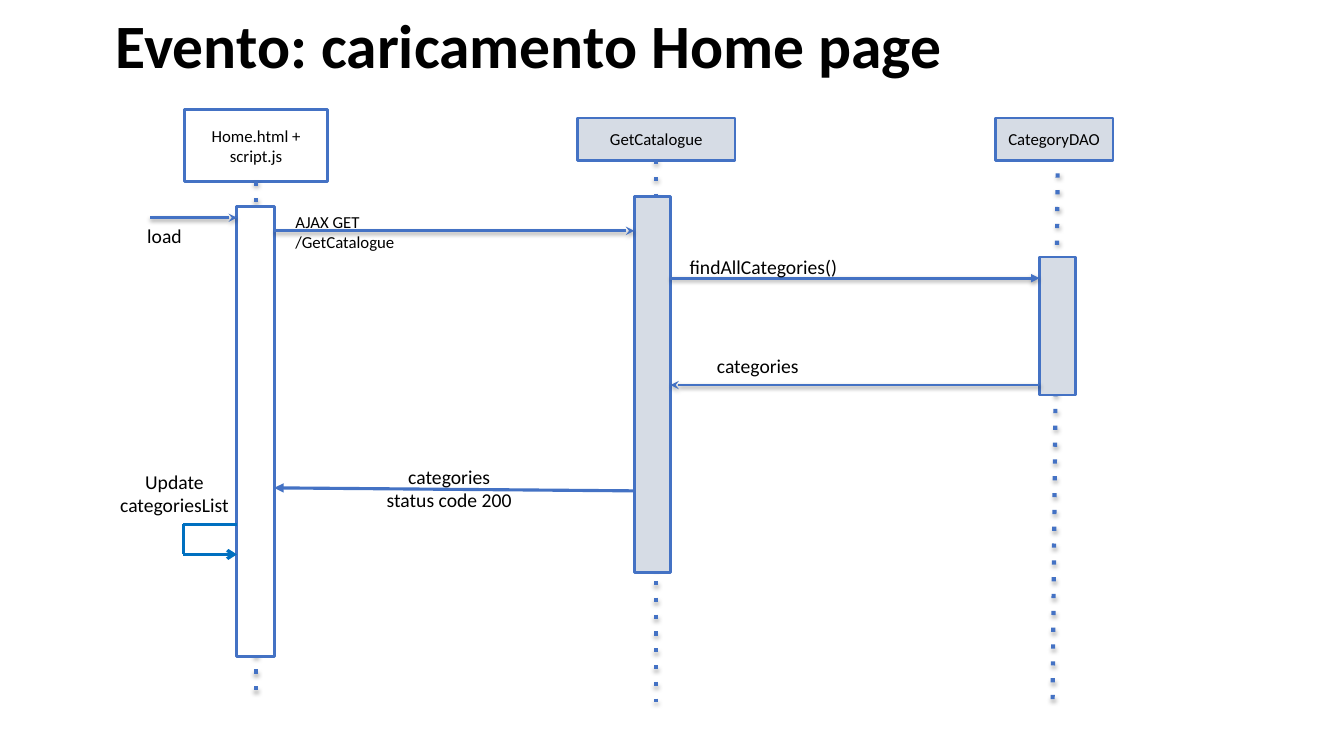
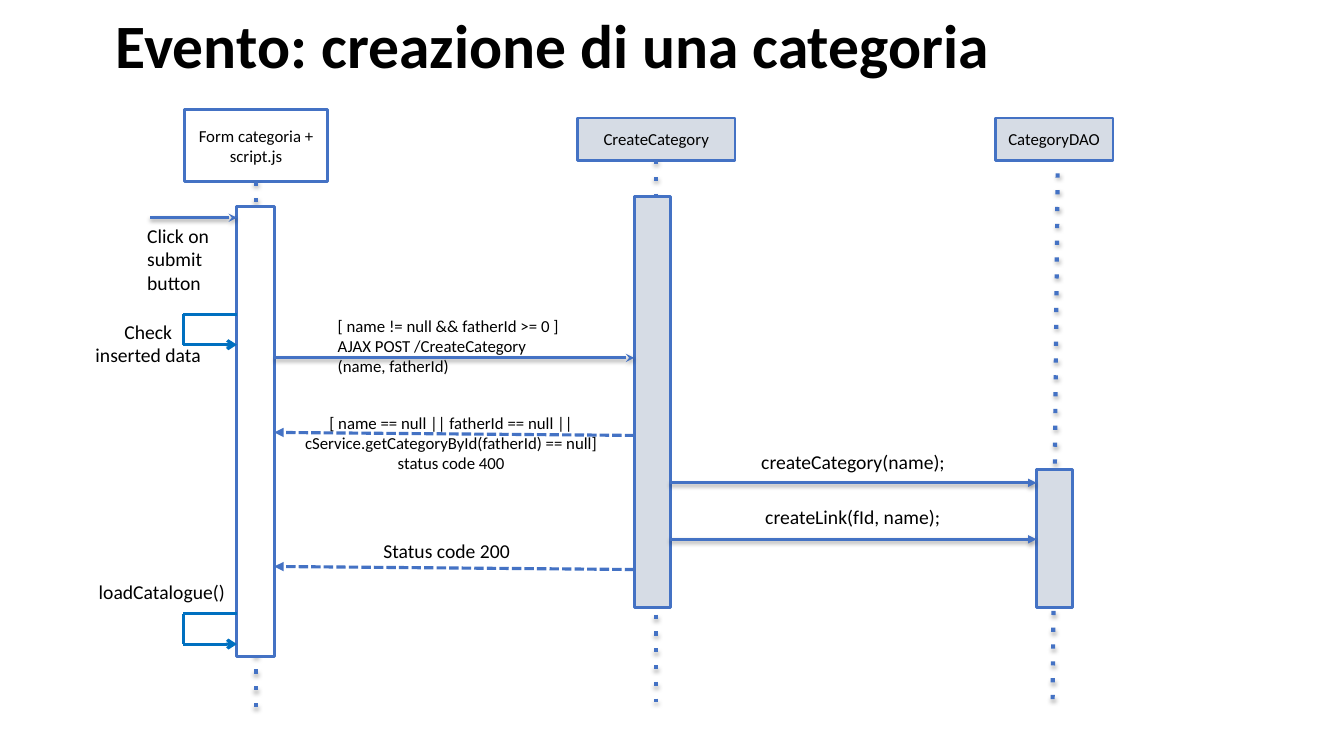
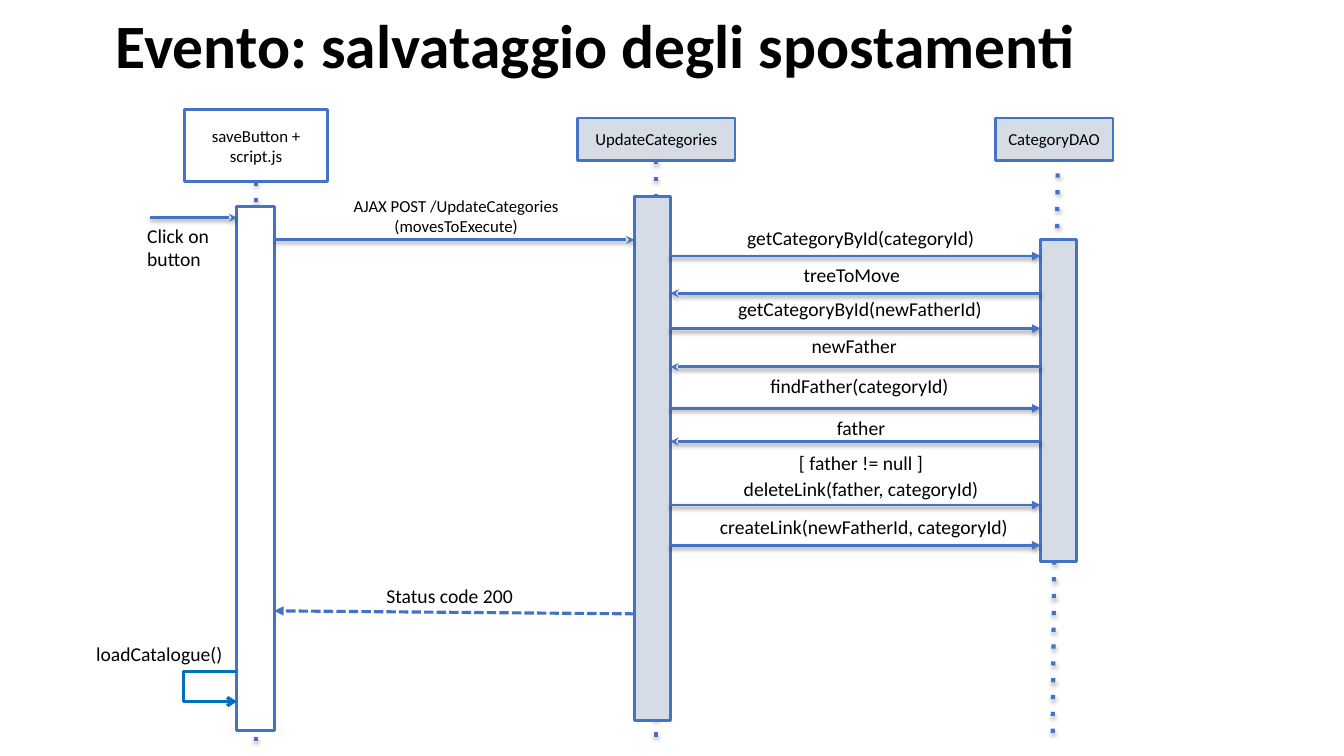
from dataclasses import dataclass
from enum import Enum

from lxml.etree import SubElement
from pptx import Presentation
from pptx.dml.color import RGBColor
from pptx.enum.shapes import MSO_CONNECTOR, MSO_SHAPE
from pptx.enum.text import MSO_ANCHOR, PP_ALIGN
from pptx.oxml.ns import qn
from pptx.util import Inches, Pt


@dataclass(frozen=True)
class Theme:
    font: str = "Calibri"
    text: str = "000000"
    line: str = "4472C4"
    loop: str = "0070C0"
    server: str = "D6DCE5"
    client: str = "FFFFFF"
    title_size: int = 44
    label_size: int = 14
    small_size: int = 12
    outline: float = 2
    lifeline: float = 3
    accent: float = 2.25


@dataclass(frozen=True)
class Box:
    left: float
    top: float
    width: float
    height: float

    @property
    def right(self):
        return self.left + self.width

    @property
    def bottom(self):
        return self.top + self.height

    @property
    def middle(self):
        return self.left + self.width / 2

    def lengths(self):
        return [Inches(n) for n in (self.left, self.top, self.width, self.height)]


@dataclass(frozen=True)
class Label:
    lines: tuple
    box: Box
    size: int = Theme.label_size
    align: PP_ALIGN = PP_ALIGN.CENTER
    after: float = 0


class Kind(Enum):
    REQUEST = "client to servlet"
    QUERY = "servlet to DAO"
    RESULT = "DAO to servlet"
    REPLY = "servlet to client"


@dataclass(frozen=True)
class Message:
    kind: Kind
    y: float
    label: Label
    dash: str = "solid"


@dataclass(frozen=True)
class SelfCall:
    y: float
    label: Label


@dataclass(frozen=True)
class Diagram:
    title: str
    client: str
    servlet: str
    trigger: Label
    client_bar: Box
    servlet_bar: Box
    dao_bar: Box
    lifeline_ends: tuple  # client, servlet, DAO
    messages: tuple
    self_calls: tuple


THEME = Theme()
TITLE = Box(1.03, 0.01, 11.09, 0.95)
CLIENT = Box(1.83, 1.09, 1.42, 0.71)
SERVLET = Box(5.73, 1.17, 1.56, 0.42)
DAO = Box(9.87, 1.17, 1.17, 0.42)
DAO_LIFE = (10.49, 1.72, 10.44)  # top x, top y, bottom x
TRIGGER_FROM, TRIGGER_Y = 1.49, 2.16
LOOP_WIDTH, LOOP_HEIGHT = 0.53, 0.3
REPLY_RISE = 0.03


# Basic parts
def color(value):
    return RGBColor.from_string(value)


def write(shape, lines, size, align, anchor=MSO_ANCHOR.TOP, bold=False,
          after=0, spacing=None):
    frame = shape.text_frame
    frame.word_wrap = True
    frame.vertical_anchor = anchor
    frame.margin_left = frame.margin_right = Inches(0.12)
    frame.margin_top = frame.margin_bottom = Inches(0.06)
    for index, line in enumerate(lines):
        para = frame.add_paragraph() if index else frame.paragraphs[0]
        para.alignment = align
        para.space_after = Pt(after)
        if spacing:
            para.line_spacing = spacing
        span = para.add_run()
        span.text = line
        span.font.name = THEME.font
        span.font.size = Pt(size)
        span.font.bold = bold
        span.font.color.rgb = color(THEME.text)


def add_label(page, label):
    box = page.shapes.add_textbox(*label.box.lengths())
    write(box, label.lines, label.size, label.align, after=label.after)


def add_rect(page, box, fill):
    rect = page.shapes.add_shape(MSO_SHAPE.RECTANGLE, *box.lengths())
    rect.shadow.inherit = False
    rect.fill.solid()
    rect.fill.fore_color.rgb = color(fill)
    rect.line.color.rgb = color(THEME.line)
    rect.line.width = Pt(THEME.outline)
    return rect


def add_line(shapes, start, end, tint=THEME.line, width=THEME.outline,
             dash="solid", head=None, shadow=None):
    """Draw a line; shadow is a pair of opacity percent and distance in points."""
    ends = [Inches(n) for n in (*start, *end)]
    line = shapes.add_connector(MSO_CONNECTOR.STRAIGHT, *ends)
    line.line.color.rgb = color(tint)
    line.line.width = Pt(width)
    properties = line._element.spPr
    stroke = properties.find(qn("a:ln"))
    SubElement(stroke, qn("a:prstDash"), val=dash)
    if head:
        SubElement(stroke, qn("a:tailEnd"), type=head)
    effects = SubElement(properties, qn("a:effectLst"))
    if shadow:
        opacity, distance = shadow
        outer = SubElement(effects, qn("a:outerShdw"), blurRad=str(Pt(3.1)),
                           dist=str(Pt(distance)), dir="5400000", rotWithShape="0")
        black = SubElement(outer, qn("a:srgbClr"), val="000000")
        SubElement(black, qn("a:alpha"), val=str(opacity * 1000))
    return line


# Regions of a sequence diagram
def add_title(page, box, text):
    title = page.shapes.add_textbox(*box.lengths())
    write(title, [text], THEME.title_size, PP_ALIGN.LEFT, MSO_ANCHOR.MIDDLE,
          bold=True, spacing=0.9)


def add_participant(page, box, name, fill, life_end, life=None):
    """Place a name box and its lifeline, which hangs from the box unless life is given."""
    rect = add_rect(page, box, fill)
    write(rect, [name], THEME.small_size, PP_ALIGN.CENTER, MSO_ANCHOR.MIDDLE)
    top_x, top_y, bottom_x = life or (box.middle, box.bottom, box.middle)
    line = add_line(page.shapes, (top_x, top_y), (bottom_x, life_end),
                    width=THEME.lifeline, dash="dot", shadow=(35, 1.8))
    if not life:
        line.begin_connect(rect, 2)


def add_message(page, message, diagram):
    client, servlet, dao = diagram.client_bar, diagram.servlet_bar, diagram.dao_bar
    start, end, head = {
        Kind.REQUEST: (client.right, servlet.left, "stealth"),
        Kind.QUERY: (servlet.right, dao.left, "triangle"),
        Kind.RESULT: (dao.left, servlet.right, "stealth"),
        Kind.REPLY: (servlet.left, client.right, "triangle"),
    }[message.kind]
    is_reply = message.kind is Kind.REPLY
    add_line(page.shapes, (start, message.y),
             (end, message.y - (REPLY_RISE if is_reply else 0)),
             width=THEME.accent if is_reply else THEME.outline,
             dash=message.dash, head=head, shadow=None if is_reply else (38, 1.6))
    add_label(page, message.label)


def add_self_call(page, bar, call):
    loop = page.shapes.add_group_shape()
    right, left = bar.left, bar.left - LOOP_WIDTH
    bottom = call.y + LOOP_HEIGHT
    corners = [(right, call.y), (left, call.y), (left, bottom), (right, bottom)]
    for start, end, head in zip(corners, corners[1:], (None, None, "arrow")):
        add_line(loop.shapes, start, end, THEME.loop, THEME.accent, head=head)
    add_label(page, call.label)


def add_diagram(deck, diagram):
    page = deck.slides.add_slide(deck.slide_layouts[6])
    add_title(page, TITLE, diagram.title)
    client_end, servlet_end, dao_end = diagram.lifeline_ends
    add_participant(page, CLIENT, diagram.client, THEME.client, client_end)
    add_participant(page, SERVLET, diagram.servlet, THEME.server, servlet_end)
    add_participant(page, DAO, "CategoryDAO", THEME.server, dao_end, DAO_LIFE)
    # Activation bars
    add_rect(page, diagram.client_bar, THEME.client)
    add_rect(page, diagram.servlet_bar, THEME.server)
    add_rect(page, diagram.dao_bar, THEME.server)
    # Trigger, messages and self calls
    add_line(page.shapes, (TRIGGER_FROM, TRIGGER_Y),
             (diagram.client_bar.left, TRIGGER_Y), head="stealth", shadow=(38, 1.6))
    add_label(page, diagram.trigger)
    for message in diagram.messages:
        add_message(page, message, diagram)
    for call in diagram.self_calls:
        add_self_call(page, diagram.client_bar, call)


# Content
def client_bar(height):
    return Box(2.35, 2.05, 0.37, height)


def servlet_bar(height):
    return Box(6.29, 1.95, 0.36, height)


def trigger(text, height):
    return Label((text,), Box(1.34, 2.16, 0.9, height), align=PP_ALIGN.LEFT)


def query(y, text, left, top, width, kind=Kind.QUERY):
    label = Label((text,), Box(left, top, width, 0.4), align=PP_ALIGN.LEFT, after=2)
    return Message(kind, y, label)


def success(y, left, top):
    label = Label(("Status code 200",), Box(left, top, 2.06, 0.33))
    return Message(Kind.REPLY, y, label, "sysDash")


def reload(y, left, top, width):
    return SelfCall(y, Label(("loadCatalogue()",), Box(left, top, width, 0.39)))


DIAGRAMS = (
    Diagram(
        "Evento: caricamento Home page", "Home.html + script.js", "GetCatalogue",
        trigger("load", 0.39),
        client_bar(4.46), servlet_bar(3.73), Box(10.31, 2.55, 0.36, 1.37),
        (6.96, 6.96, 6.96),
        (
            Message(Kind.REQUEST, 2.29, Label(
                ("AJAX GET /GetCatalogue",), Box(2.81, 2.04, 1.48, 0.71),
                THEME.small_size, PP_ALIGN.LEFT)),
            query(2.76, "findAllCategories()", 6.72, 2.47, 1.8),
            query(3.82, "categories", 6.99, 3.45, 1.35, Kind.RESULT),
            Message(Kind.REPLY, 4.87, Label(
                ("categories", "status code 200"), Box(3.62, 4.55, 1.67, 0.71))),
        ),
        (SelfCall(5.2, Label(("Update categoriesList",),
                             Box(1.04, 4.6, 1.38, 0.61))),),
    ),
    Diagram(
        "Evento: creazione di una categoria", "Form categoria + script.js",
        "CreateCategory", trigger("Click on submit button", 0.95),
        client_bar(4.46), servlet_bar(4.08), Box(10.28, 4.66, 0.36, 1.37),
        (7.07, 6.96, 6.96),
        (
            Message(Kind.REQUEST, 3.55, Label(
                ("[ name != null && fatherId >= 0 ]", "AJAX POST /CreateCategory",
                 "(name, fatherId)"),
                Box(3.23, 3.07, 2.67, 0.71), THEME.small_size, PP_ALIGN.LEFT)),
            Message(Kind.REPLY, 4.32, Label(
                ("[ name == null || fatherId == null || "
                 "cService.getCategoryById(fatherId) == null]", "status code 400"),
                Box(2.68, 4.03, 3.59, 0.71), THEME.small_size), "sysDash"),
            query(4.79, "createCategory(name);", 7.43, 4.4, 2.28),
            query(5.35, "createLink(fId, name);", 7.47, 4.95, 2.4),
            success(5.65, 3.4, 5.29),
        ),
        (
            SelfCall(3.12, Label(("Check inserted data",),
                                 Box(0.79, 3.11, 1.36, 0.61))),
            reload(6.09, 0.81, 5.69, 1.59),
        ),
    ),
    Diagram(
        "Evento: salvataggio degli spostamenti", "saveButton + script.js",
        "UpdateCategories", trigger("Click on button", 0.59),
        client_bar(5.2), servlet_bar(5.2), Box(10.32, 2.38, 0.36, 3.19),
        (7.37, 7.37, 7.37),
        (
            Message(Kind.REQUEST, 2.38, Label(
                ("AJAX POST /UpdateCategories (movesToExecute)",),
                Box(3.19, 1.88, 2.67, 0.49), THEME.small_size)),
            query(2.54, "getCategoryById(categoryId)", 7.29, 2.18, 2.8),
            query(2.91, "treeToMove", 7.85, 2.55, 1.26, Kind.RESULT),
            query(3.26, "getCategoryById(newFatherId)", 7.2, 2.89, 2.72),
            query(3.64, "newFather", 7.93, 3.25, 1.26, Kind.RESULT),
            query(4.05, "findFather(categoryId)", 7.52, 3.65, 2.24),
            Message(Kind.RESULT, 4.38, Label(
                ("father",), Box(7.91, 4.07, 1.26, 0.4), after=2)),
            Message(Kind.QUERY, 5.01, Label(
                ("[ father != null ]", "deleteLink(father, categoryId)"),
                Box(7.17, 4.41, 2.74, 0.61), after=2)),
            Message(Kind.QUERY, 5.41, Label(
                ("createLink(newFatherId, categoryId)",),
                Box(7, 5.05, 3.14, 0.4), after=2)),
            success(6.09, 3.43, 5.73),
        ),
        (reload(6.66, 0.75, 6.31, 1.66),),
    ),
)


def main():
    deck = Presentation()
    deck.slide_width = Inches(13.33)
    deck.slide_height = Inches(7.5)
    for diagram in DIAGRAMS:
        add_diagram(deck, diagram)
    deck.save("out.pptx")


if __name__ == "__main__":
    main()
